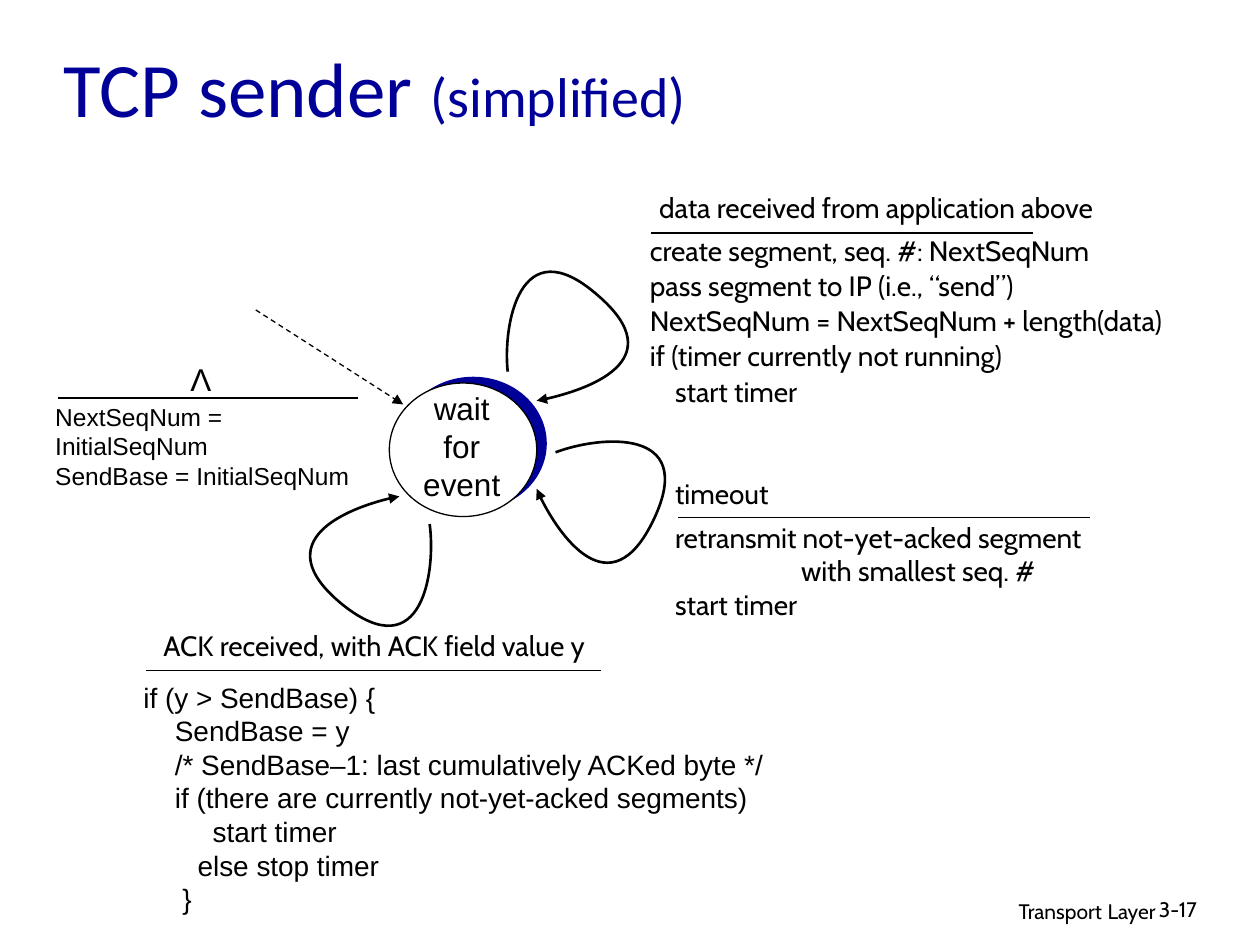
from lxml.etree import SubElement
from pptx import Presentation
from pptx.dml.color import RGBColor
from pptx.enum.dml import MSO_LINE
from pptx.enum.shapes import MSO_CONNECTOR, MSO_SHAPE
from pptx.enum.text import MSO_ANCHOR, PP_ALIGN
from pptx.oxml.ns import qn
from pptx.util import Inches, Pt

BLACK = RGBColor(0, 0, 0)
WHITE = RGBColor(255, 255, 255)
NAVY = RGBColor(0, 0, 153)


class StateDiagram:
    """Draws the text, states and transitions of a state machine on one slide."""

    def __init__(self, page):
        self.page = page

    def text(self, at, lines, font="Cabin", size=16, color=BLACK,
             align=PP_ALIGN.LEFT, anchor=MSO_ANCHOR.TOP, spacing=None, margin=0.1):
        box = self.page.shapes.add_textbox(*map(Inches, at))
        frame = box.text_frame
        settings = {"word_wrap": True, "vertical_anchor": anchor,
                    "margin_left": Inches(margin), "margin_right": Inches(margin)}
        for name, value in settings.items():
            setattr(frame, name, value)
        for index, (indent, spans) in enumerate(lines):
            para = frame.paragraphs[0] if index == 0 else frame.add_paragraph()
            para.alignment = align
            para.line_spacing = spacing
            if indent:
                para._p.get_or_add_pPr().set("marL", str(Inches(indent)))
            for content, span_size in spans:
                span = para.add_run()
                span.text = content
                for name, value in {"name": font, "size": Pt(span_size or size)}.items():
                    setattr(span.font, name, value)
                span.font.color.rgb = color

    def lines(self, at, *rows, **style):
        pairs = [row if isinstance(row, tuple) else (0, row) for row in rows]
        self.text(at, [(indent, [(content, None)]) for indent, content in pairs], **style)

    def outline(self, shape, width, arrow=False):
        shape.line.color.rgb = BLACK
        shape.line.width = Pt(width)
        if arrow:
            SubElement(shape.line._get_or_add_ln(), qn("a:tailEnd"), type="triangle")

    def ellipse(self, at, fill, outlined):
        shape = self.page.shapes.add_shape(MSO_SHAPE.OVAL, *map(Inches, at))
        shape.shadow.inherit = False
        shape.fill.solid()
        shape.fill.fore_color.rgb = fill
        if outlined:
            self.outline(shape, 0.75)
        else:
            shape.line.fill.background()

    def line(self, start, end, dashed_arrow=False):
        rule = self.page.shapes.add_connector(
            MSO_CONNECTOR.STRAIGHT, *map(Inches, start + end))
        if dashed_arrow:
            rule.line.dash_style = MSO_LINE.DASH
        self.outline(rule, 0.75, dashed_arrow)
        SubElement(rule._element.spPr, qn("a:effectLst"))

    def loop(self, *points):
        start, *controls = [tuple(map(Inches, point)) for point in points]
        builder = self.page.shapes.build_freeform(*start)
        builder.add_line_segments(controls, close=False)
        shape = builder.convert_to_shape()
        shape.shadow.inherit = False
        shape.fill.background()
        self.outline(shape, 1.5, True)
        route = next(shape._element.iter(qn("a:path")))
        segments = route.findall(qn("a:lnTo"))
        for first in range(0, len(segments), 3):
            curve = SubElement(route, qn("a:cubicBezTo"))
            for segment in segments[first:first + 3]:
                curve.append(segment[0])
                route.remove(segment)


deck = Presentation()
deck.slide_width, deck.slide_height = Inches(10), Inches(7.5)
diagram = StateDiagram(deck.slides.add_slide(deck.slide_layouts[6]))
CENTER = PP_ALIGN.CENTER

diagram.text((0.41, 0.2, 8.46, 0.98), [(0, [("TCP sender ", 44), ("(simplified)", 32)])],
             font="Calibri", color=NAVY, anchor=MSO_ANCHOR.MIDDLE)
diagram.text((6.1, 7.05, 3.17, 0.31),
             [(0, [("Transport", 12), (" ", 14), ("Layer", 12)])], align=PP_ALIGN.RIGHT)
diagram.lines((9.1, 7.07, 0.74, 0.3), "3-17", size=12)

diagram.ellipse((3.17, 2.99, 1.17, 1.06), NAVY, False)
diagram.ellipse((3.09, 3.04, 1.17, 1.06), WHITE, True)
diagram.lines((3.26, 3.04, 0.81, 1), "wait", "for", "event",
              font="Arial", size=18, align=CENTER, margin=0)

diagram.line((2.03, 2.46), (3.2, 3.21), dashed_arrow=True)
diagram.lines((1.41, 2.81, 0.37, 0.4), "Λ", font="Arial", size=18, align=CENTER, margin=0)
diagram.line((0.46, 3.16), (2.84, 3.16))
diagram.lines((0.34, 3.14, 2.6, 0.77), "NextSeqNum = InitialSeqNum",
              "SendBase = InitialSeqNum", font="Arial", size=14)

diagram.lines((5.04, 1.46, 3.83, 0.37), "data received from application above", align=CENTER)
diagram.line((5.17, 1.85), (8.2, 1.85))
diagram.lines((5.06, 1.79, 4.62, 1.77), "create segment, seq. #: NextSeqNum",
              "pass segment to IP (i.e., “send”)",
              "NextSeqNum = NextSeqNum + length(data)",
              "if (timer currently not running)", (0.2, "start timer"), spacing=1.05)

diagram.lines((5.26, 3.73, 1, 0.37), "timeout")
diagram.line((5.38, 4.11), (8.65, 4.11))
diagram.lines((5.26, 4.08, 3.6, 0.9), "retransmit not-yet-acked segment",
              (1, "with smallest seq. #"), "start timer")

diagram.lines((1.06, 4.94, 3.82, 0.37), "ACK received, with ACK field value y", align=CENTER)
diagram.line((1.16, 5.32), (4.77, 5.32))
diagram.lines((1.04, 5.35, 5.3, 1.97), "if (y > SendBase) {", (0.25, "SendBase = y"),
              (0.25, "/* SendBase–1: last cumulatively ACKed byte */"),
              (0.25, "if (there are currently not-yet-acked segments)"),
              (0.55, "start timer"), (0.43, "else stop timer"), (0.31, "}"), font="Arial")

diagram.loop((4.03, 2.95), (3.99, 2.59), (4.12, 1.8), (4.74, 2.34),
             (5.36, 2.87), (4.52, 3.14), (4.26, 3.18))
diagram.loop((4.41, 3.59), (4.75, 3.46), (5.54, 3.38), (5.19, 4.12),
             (4.84, 4.86), (4.35, 4.12), (4.26, 3.88))
diagram.loop((3.41, 4.16), (3.46, 4.52), (3.36, 5.31), (2.72, 4.8),
             (2.08, 4.28), (2.91, 3.98), (3.17, 3.94))

deck.save("out.pptx")
